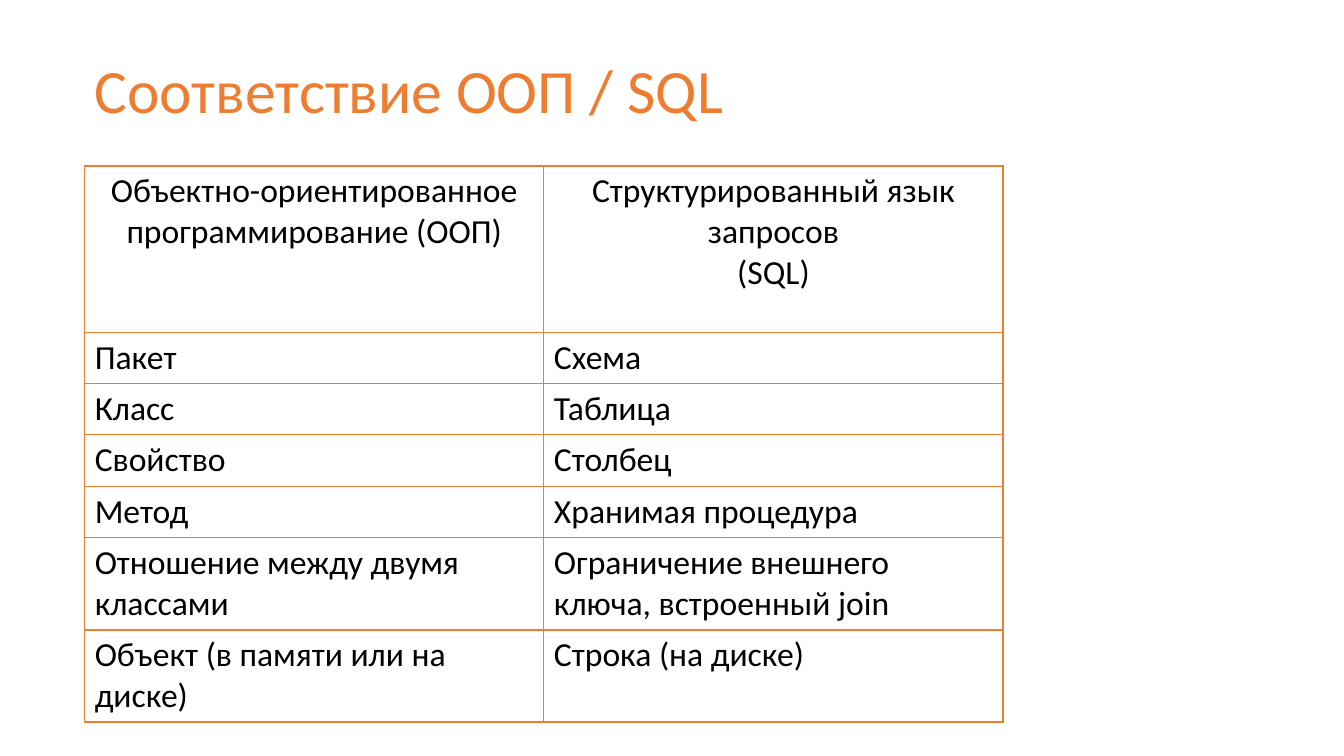
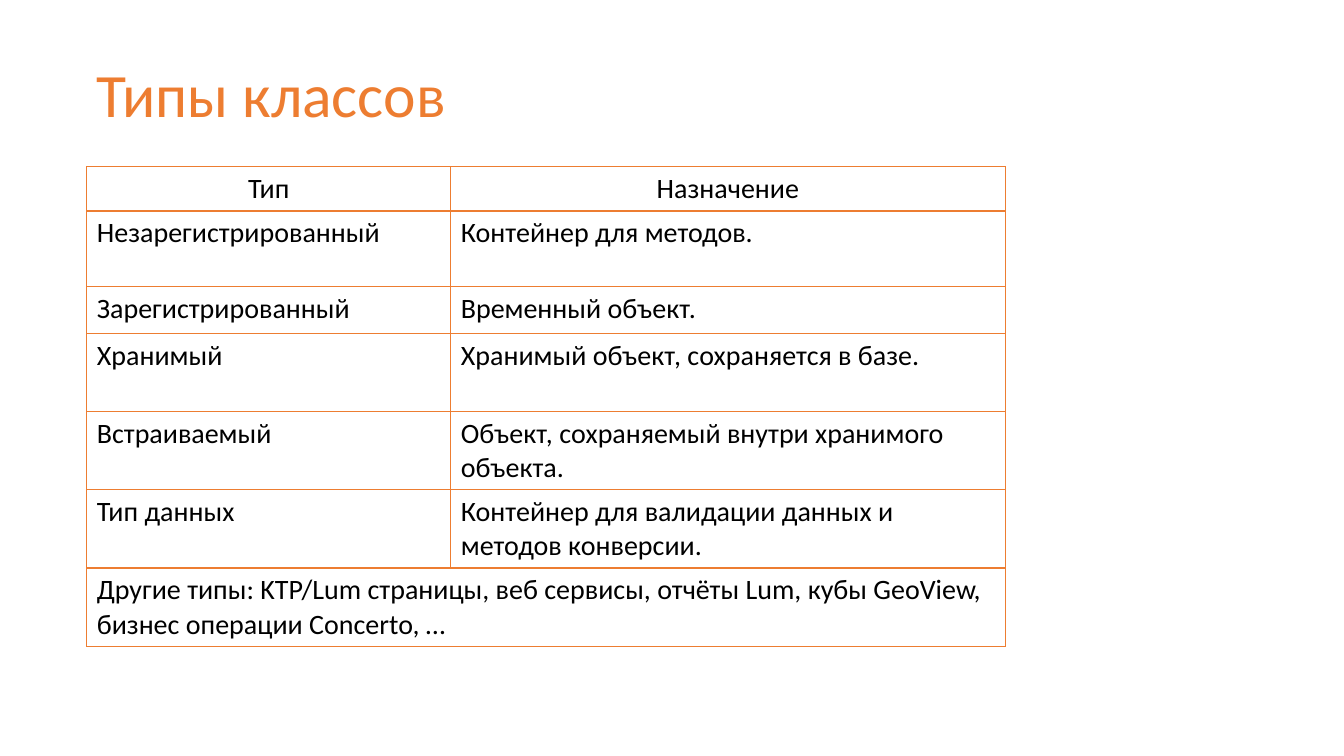
import lxml.etree
import pptx
import pptx.dml.color
import pptx.enum.text
import pptx.oxml.ns
import pptx.util

Pt = pptx.util.Pt
ALIGN = pptx.enum.text.PP_ALIGN
FONT = "Calibri"
ACCENT = "ED7D31"
BLACK = "000000"
BORDER_WIDTH = 0.96
TITLE_HEIGHT = 84.2

# A row with a single text spans all columns; "\v" is a line break.
SLIDES = [
    {
        "title": "Соответствие ООП / SQL",
        "title_box": (60.5, 24.5, 583),
        "table_at": (60.5, 118.6),
        "size": 24,
        "columns": [328, 328],
        "heights": [118.8, 36.4, 36.4, 37.6, 36.4, 65.8, 65.8],
        "rows": [
            ("Объектно-ориентированное программирование (ООП)",
             "Структурированный язык запросов\v(SQL)"),
            ("Пакет", "Схема"),
            ("Класс", "Таблица"),
            ("Свойство", "Столбец"),
            ("Метод", "Хранимая процедура"),
            ("Отношение между двумя классами",
             "Ограничение внешнего ключа, встроенный join"),
            ("Объект (в памяти или на диске)", "Строка (на диске)"),
        ],
    },
    {
        "title": "Типы классов",
        "title_box": (62, 27.4, 778),
        "table_at": (62, 119),
        "size": 20,
        "columns": [260, 396],
        "heights": [31.7, 54, 33.6, 55.5, 56, 56, 56],
        "rows": [
            ("Тип", "Назначение"),
            ("Незарегистрированный", "Контейнер для методов."),
            ("Зарегистрированный", "Временный объект."),
            ("Хранимый", "Хранимый объект, сохраняется в базе."),
            ("Встраиваемый", "Объект, сохраняемый внутри хранимого объекта."),
            ("Тип данных", "Контейнер для валидации данных и методов конверсии."),
            ("Другие типы: KTP/Lum страницы, веб сервисы, отчёты Lum, кубы "
             "GeoView, бизнес операции Concerto, …",),
        ],
    },
]


def color(value):
    return pptx.dml.color.RGBColor.from_string(value)


def write(frame, text, size, fill=BLACK, align=ALIGN.LEFT, spacing=None):
    para = frame.paragraphs[0]
    para.text = text
    para.alignment = align
    para.line_spacing = spacing
    for span in para.runs:
        span.font.name = FONT
        span.font.size = Pt(size)
        span.font.color.rgb = color(fill)


def add_title(page, text, left, top, width):
    box = page.shapes.add_textbox(Pt(left), Pt(top), Pt(width), Pt(TITLE_HEIGHT))
    box.text_frame.word_wrap = True
    box.text_frame.vertical_anchor = pptx.enum.text.MSO_ANCHOR.MIDDLE
    write(box.text_frame, text, size=44, fill=ACCENT, spacing=0.9)


def style_cell(cell):
    """Clear the fill and draw all four borders, which must precede it in the XML."""
    cell.fill.background()
    properties = cell._tc.get_or_add_tcPr()
    qn = pptx.oxml.ns.qn
    for index, side in enumerate(("lnL", "lnR", "lnT", "lnB")):
        line = lxml.etree.Element(qn(f"a:{side}"), w=str(Pt(BORDER_WIDTH)))
        solid = lxml.etree.SubElement(line, qn("a:solidFill"))
        lxml.etree.SubElement(solid, qn("a:srgbClr"), val=ACCENT)
        properties.insert(index, line)


def add_grid(page, rows, columns, heights, left, top, size):
    frame = page.shapes.add_table(len(rows), len(columns), Pt(left), Pt(top),
                                  Pt(sum(columns)), Pt(sum(heights)))
    table = frame.table
    table.first_row = False
    table.horz_banding = False
    for column, width in zip(table.columns, columns):
        column.width = Pt(width)
    for row, height in zip(table.rows, heights):
        row.height = Pt(height)
    for cell in table.iter_cells():
        style_cell(cell)
    for index, texts in enumerate(rows):
        if len(texts) == 1:
            table.cell(index, 0).merge(table.cell(index, len(columns) - 1))
        align = ALIGN.CENTER if index == 0 else ALIGN.LEFT
        for position, text in enumerate(texts):
            write(table.cell(index, position).text_frame, text, size, align=align)


def main():
    deck = pptx.Presentation()
    deck.slide_width, deck.slide_height = Pt(960), Pt(540)
    for content in SLIDES:
        page = deck.slides.add_slide(deck.slide_layouts[6])
        add_title(page, content["title"], *content["title_box"])
        add_grid(page, content["rows"], content["columns"], content["heights"],
                 *content["table_at"], content["size"])
    deck.save("out.pptx")


if __name__ == "__main__":
    main()
